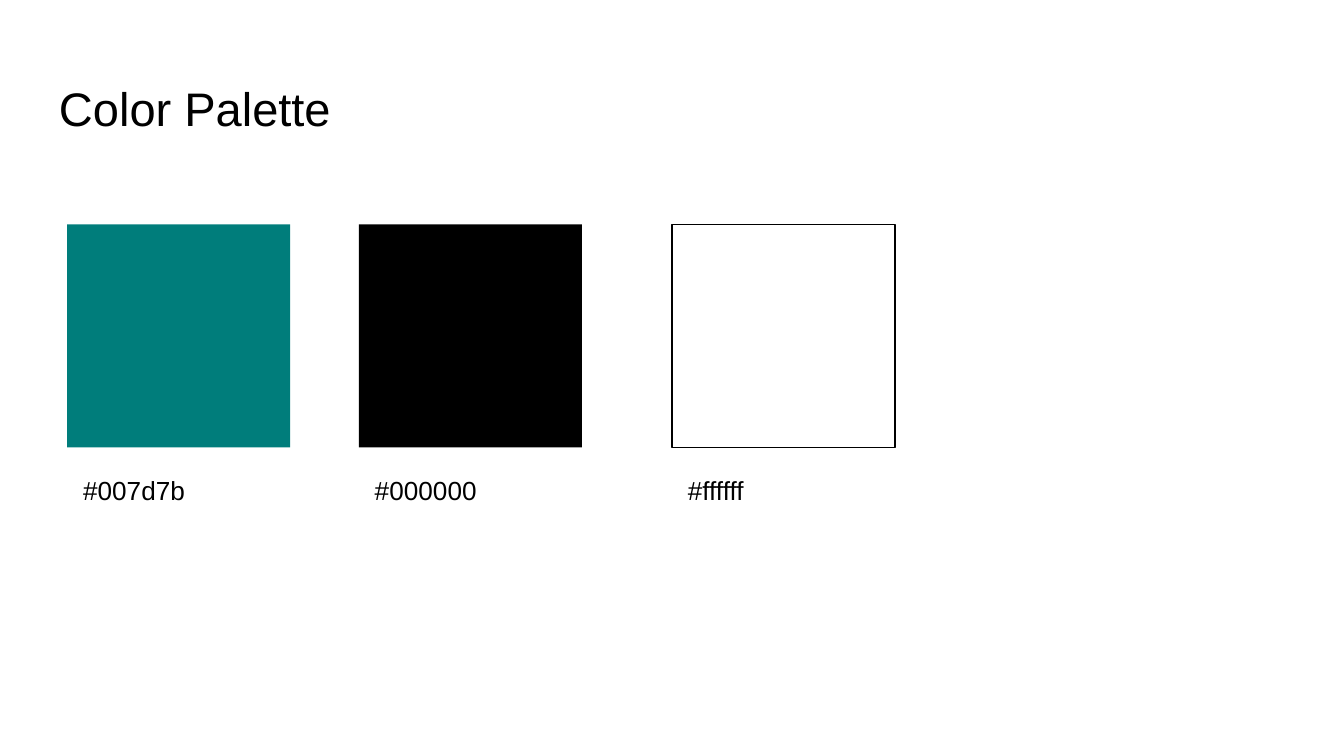
from dataclasses import dataclass

from pptx import Presentation
from pptx.dml.color import RGBColor
from pptx.enum.shapes import MSO_SHAPE
from pptx.enum.text import MSO_ANCHOR
from pptx.slide import Slide
from pptx.util import Inches, Pt

RECTANGLE = MSO_SHAPE.RECTANGLE
TOP = MSO_ANCHOR.TOP

COLORS = {"teal": "007D7B", "black": "000000", "white": "FFFFFF"}
FONT = "Arial"
SLIDE_WIDTH = 10
SLIDE_HEIGHT = SLIDE_WIDTH * 9 / 16
SWATCH_TOP = 1.67
SWATCH_SIZE = 1.66
LABEL_INDENT = 0.02
LABEL_TOP = 3.43


@dataclass
class Swatch:
    left: float
    color: str
    outlined: bool = False


SWATCHES = [
    Swatch(0.5, "teal"),
    Swatch(2.67, "black"),
    Swatch(5, "white", outlined=True),
]


def rgb(name: str) -> RGBColor:
    return RGBColor.from_string(COLORS[name])


def add_text(slide: Slide, text: str, left: float, top: float, width: float,
             height: float, size: float) -> None:
    box = slide.shapes.add_textbox(
        Inches(left), Inches(top), Inches(width), Inches(height))
    frame = box.text_frame
    frame.text = text
    frame.word_wrap = True
    frame.vertical_anchor = TOP
    frame.margin_left = frame.margin_right = Inches(0.1)
    frame.margin_top = frame.margin_bottom = Inches(0.1)
    font = frame.paragraphs[0].runs[0].font
    font.name = FONT
    font.size = Pt(size)
    font.color.rgb = rgb("black")


def add_swatch(slide: Slide, swatch: Swatch) -> None:
    square = slide.shapes.add_shape(
        RECTANGLE, Inches(swatch.left), Inches(SWATCH_TOP),
        Inches(SWATCH_SIZE), Inches(SWATCH_SIZE))
    square.shadow.inherit = False
    square.fill.solid()
    square.fill.fore_color.rgb = rgb(swatch.color)
    if swatch.outlined:
        square.line.color.rgb = rgb("black")
        square.line.width = Pt(0.75)
    else:
        square.line.fill.background()
    add_text(slide, f"#{COLORS[swatch.color].lower()}",
             swatch.left + LABEL_INDENT, LABEL_TOP, 1.63, 0.44, 14)


def main() -> None:
    deck = Presentation()
    deck.slide_width = Inches(SLIDE_WIDTH)
    deck.slide_height = Inches(SLIDE_HEIGHT)
    slide = deck.slides.add_slide(deck.slide_layouts[6])
    slide.background.fill.solid()
    slide.background.fill.fore_color.rgb = rgb("white")
    add_text(slide, "Color Palette", 0.34, 0.49, 9.32, 0.63, 25.2)
    for swatch in SWATCHES:
        add_swatch(slide, swatch)
    deck.save("out.pptx")


if __name__ == "__main__":
    main()
